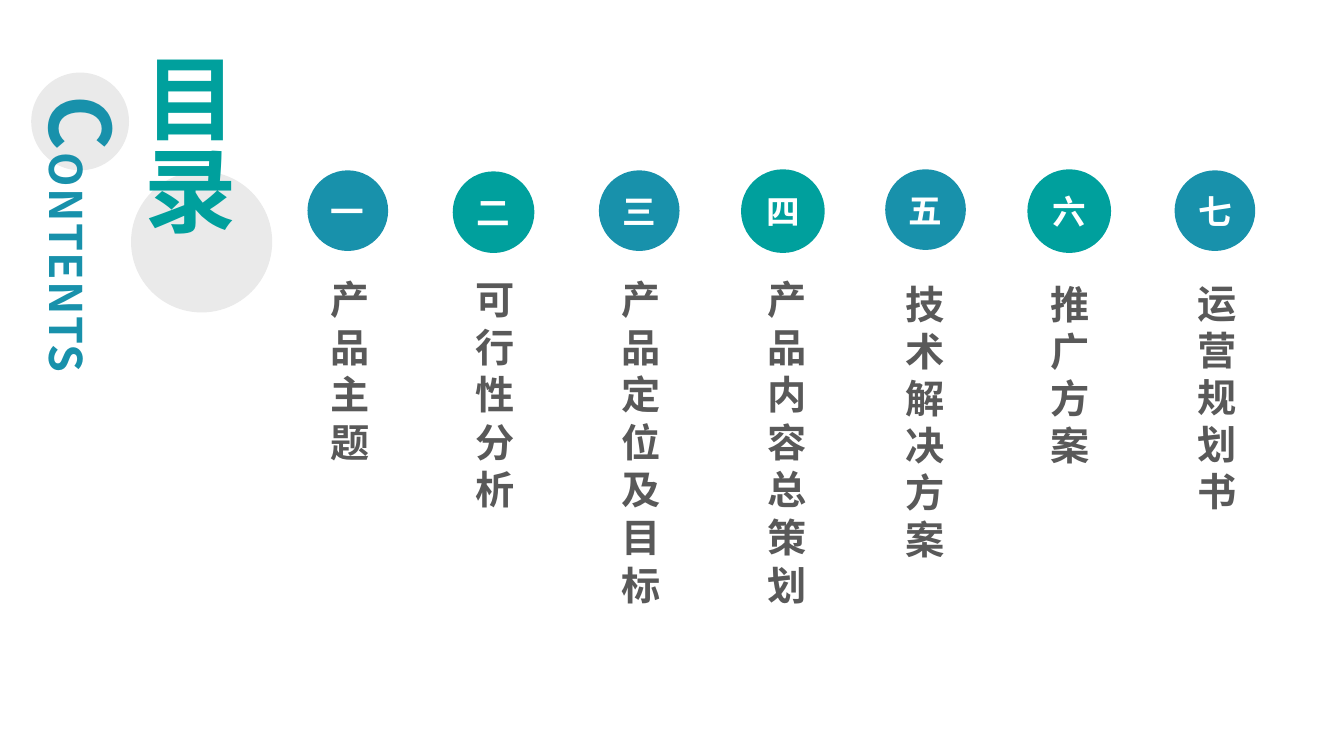
from pptx import Presentation
from pptx.dml.color import RGBColor
from pptx.enum.shapes import MSO_SHAPE
from pptx.enum.text import MSO_ANCHOR, PP_ALIGN
from pptx.util import Inches, Pt

OVAL = MSO_SHAPE.OVAL
MIDDLE = MSO_ANCHOR.MIDDLE
CENTER = PP_ALIGN.CENTER

BLUE = RGBColor(0x18, 0x91, 0xAB)
TEAL = RGBColor(0x00, 0xA0, 0x9D)
PALE = RGBColor(0xEA, 0xEA, 0xEA)
DARK = RGBColor(0x59, 0x59, 0x59)
WHITE = RGBColor(0xFF, 0xFF, 0xFF)
FONT = "Noto Sans CJK SC"

BADGES = [
    ("一", 3.05, 1.69, 0.8),
    ("二", 4.49, 1.7, 0.81),
    ("三", 5.94, 1.69, 0.8),
    ("四", 7.35, 1.68, 0.83),
    ("五", 8.78, 1.68, 0.8),
    ("六", 10.19, 1.68, 0.83),
    ("七", 11.65, 1.69, 0.8),
]
VERTICAL_TOPICS = [
    ("产品主题", 3.05, 2.06),
    ("可行性分析", 4.49, 2.54),
    ("产品定位及目标", 5.94, 3.45),
    ("产品内容总策划", 7.39, 3.45),
]
STACKED_TOPICS = [
    ("技术解决方案", 8.88, 2.69, 0.69, 2.93),
    ("推广方案", 10.32, 2.69, 0.69, 1.99),
    ("运营规划书", 11.78, 2.68, 0.6, 2.46),
]


def add_run(paragraph, text, size, color, spacing=0):
    run = paragraph.add_run()
    run.text = text
    run.font.size = Pt(size)
    run.font.bold = True
    run.font.name = FONT
    run.font.color.rgb = color
    properties = run.font._element
    east_asian = properties.makeelement(
        "{http://schemas.openxmlformats.org/drawingml/2006/main}ea",
        {"typeface": FONT})
    properties.append(east_asian)
    if spacing:
        properties.set("spc", str(spacing * 100))


def clear_insets(frame):
    frame.margin_left = frame.margin_right = 0
    frame.margin_top = frame.margin_bottom = 0


def add_circle(slide, left, top, size, color):
    circle = slide.shapes.add_shape(
        OVAL, Inches(left), Inches(top), Inches(size), Inches(size))
    circle.shadow.inherit = False
    circle.fill.solid()
    circle.fill.fore_color.rgb = color
    circle.line.fill.background()
    return circle


def add_badge(slide, numeral, left, top, size, color):
    frame = add_circle(slide, left, top, size, color).text_frame
    clear_insets(frame)
    frame.vertical_anchor = MIDDLE
    paragraph = frame.paragraphs[0]
    paragraph.alignment = CENTER
    add_run(paragraph, numeral, 24, WHITE)


def add_text_frame(slide, left, top, width, height):
    frame = slide.shapes.add_textbox(
        Inches(left), Inches(top), Inches(width), Inches(height)).text_frame
    frame.word_wrap = True
    return frame


def add_vertical_frame(slide, left, top, width, height):
    frame = add_text_frame(slide, left, top, width, height)
    frame.vertical_anchor = MIDDLE
    frame._txBody.bodyPr.set("vert", "eaVert")
    return frame


def add_heading(slide):
    add_circle(slide, 1.3, 1.7, 1.4, PALE)
    add_circle(slide, 0.31, 0.72, 0.97, PALE)
    contents = add_vertical_frame(slide, 0.25, 0.95, 1.15, 5.42)
    clear_insets(contents)
    add_run(contents.paragraphs[0], "C", 60, BLUE, 1)
    add_run(contents.paragraphs[0], "ONTENTS", 32, BLUE, 1)
    title = add_vertical_frame(slide, 1.07, 0.42, 1.57, 2.55)
    add_run(title.paragraphs[0], "目录", 66, TEAL)


def add_vertical_topic(slide, topic, left, height):
    frame = add_vertical_frame(slide, left, 2.78, 0.81, height)
    clear_insets(frame)
    add_run(frame.paragraphs[0], topic, 28, DARK, 6)


def add_stacked_topic(slide, topic, left, top, width, height):
    frame = add_text_frame(slide, left, top, width, height)
    frame.margin_top = Inches(0.09)
    paragraph = frame.paragraphs[0]
    paragraph.line_spacing = Pt(33.6)
    add_run(paragraph, topic, 28, DARK)


def main():
    deck = Presentation()
    deck.slide_width = Inches(13.33)
    deck.slide_height = Inches(7.5)
    slide = deck.slides.add_slide(deck.slide_layouts[6])
    add_heading(slide)
    for index, badge in enumerate(BADGES):
        add_badge(slide, *badge, TEAL if index % 2 else BLUE)
    for topic in VERTICAL_TOPICS:
        add_vertical_topic(slide, *topic)
    for topic in STACKED_TOPICS:
        add_stacked_topic(slide, *topic)
    deck.save("out.pptx")


if __name__ == "__main__":
    main()
